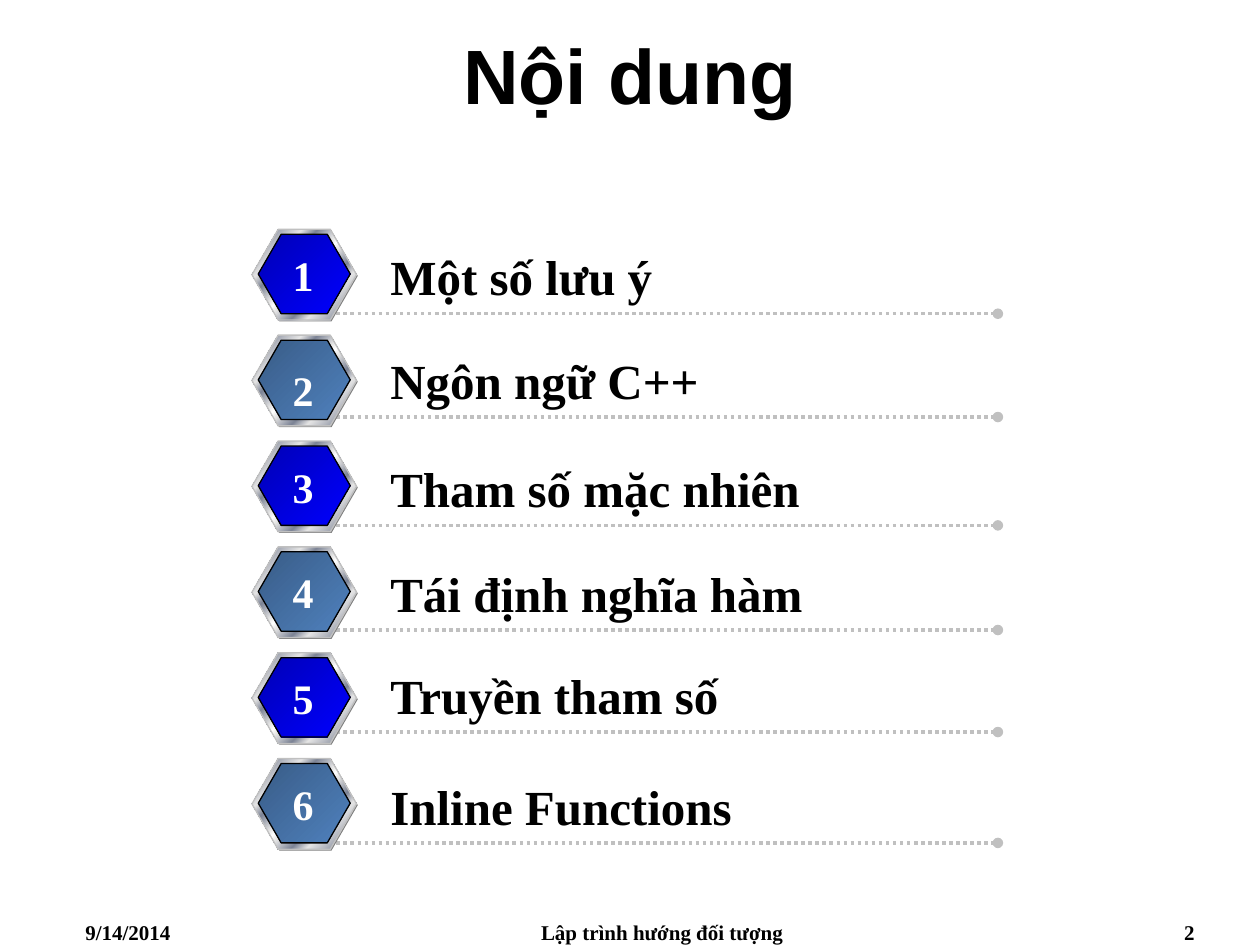
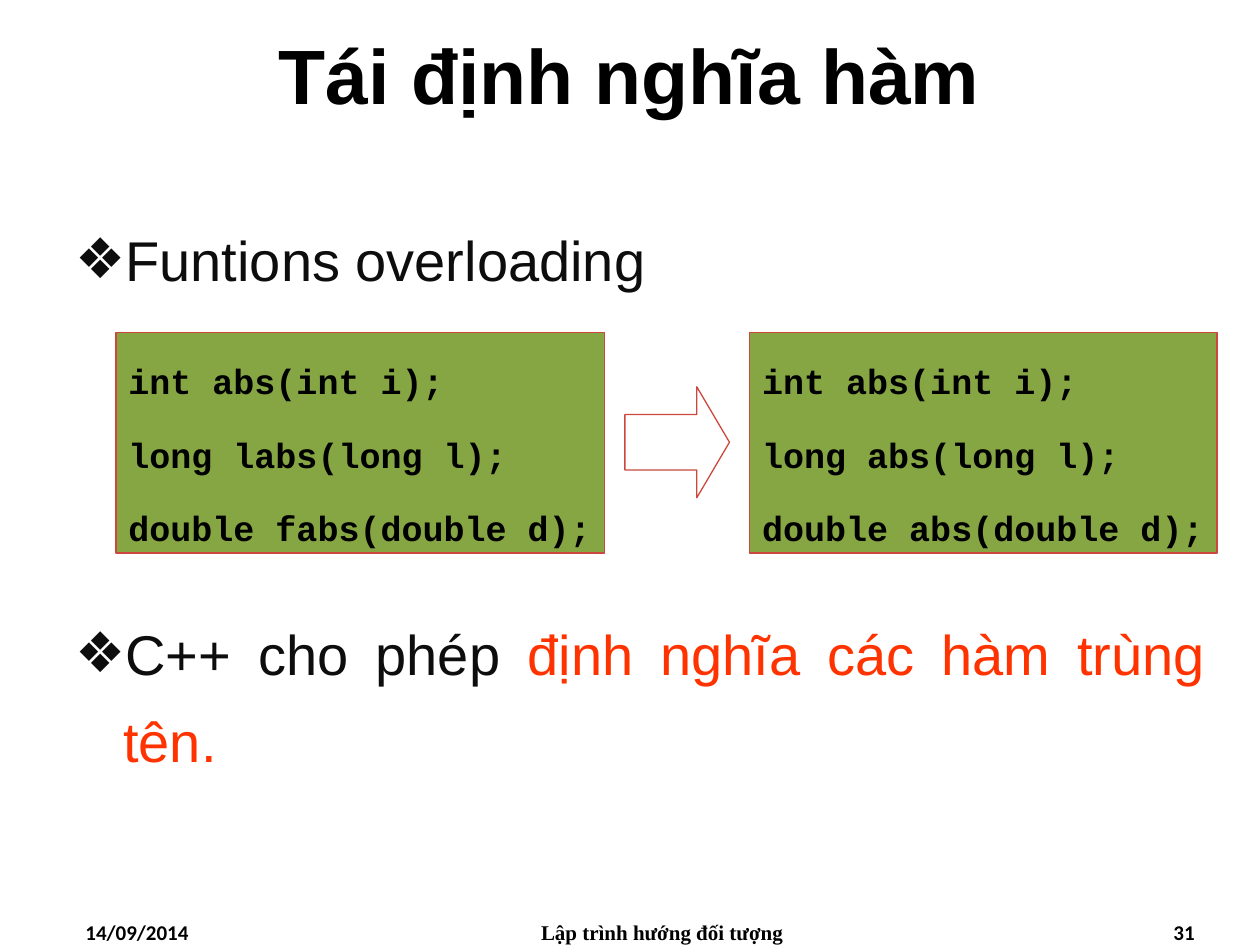
from lxml.etree import SubElement
from pptx import Presentation
from pptx.dml.color import RGBColor
from pptx.enum.dml import MSO_LINE
from pptx.enum.shapes import MSO_CONNECTOR, MSO_SHAPE
from pptx.enum.text import MSO_ANCHOR, MSO_AUTO_SIZE, PP_ALIGN
from pptx.oxml.ns import qn
from pptx.util import Inches, Pt

BLACK = RGBColor(0x00, 0x00, 0x00)
WHITE = RGBColor(0xFF, 0xFF, 0xFF)
INK = RGBColor(0x0D, 0x0D, 0x0D)
ORANGE = RGBColor(0xFF, 0x33, 0x00)
GREEN = RGBColor(0x86, 0xA6, 0x44)
RED = RGBColor(0xCC, 0x48, 0x3E)
GRAY = RGBColor(0x80, 0x80, 0x80)
SILVER = RGBColor(0xC0, 0xC0, 0xC0)
LIGHT = RGBColor(0xE6, 0xE6, 0xE6)
STEEL = RGBColor(0x7D, 0x84, 0x96)

BEZEL = [(0, LIGHT), (7, STEEL), (26, LIGHT), (34, STEEL), (46, LIGHT), (50, WHITE),
         (54, LIGHT), (66, STEEL), (74, LIGHT), (93, STEEL), (100, LIGHT)]
BADGE_FACES = [
    [(0, RGBColor(0x00, 0x00, 0xB6)), (100, RGBColor(0x00, 0x00, 0xFF))],
    [(0, RGBColor(0x39, 0x5C, 0x87)), (100, RGBColor(0x4F, 0x81, 0xBD))],
]

TITLE_FONT = "Arial"
TEXT_FONT = "Times New Roman"
CODE_FONT = "Courier New"
FOOTER = "Lập trình hướng đối tượng"
HANGING = Inches(0.38)

# Label, height of the dotted rule, offset of the number below its badge top
TOPICS = [
    ("Một số lưu ý", 2.49, 0.11),
    ("Ngôn ngữ C++", 3.31, 0.18),
    ("Tham số mặc nhiên", 4.17, 0.11),
    ("Tái định nghĩa hàm", 5.00, 0.11),
    ("Truyền tham số", 5.81, 0.11),
    ("Inline Functions", 6.69, 0.11),
]
FIRST_BADGE_TOP = 1.82
BADGE_PITCH = 0.84


def format_runs(paragraph, size, font, color, bold=False):
    for run in paragraph.runs:
        run.font.size = Pt(size)
        run.font.name = font
        run.font.bold = bold
        run.font.color.rgb = color


def hang(paragraph, bullet=None):
    """Give the paragraph a hanging indent and, if wanted, a bullet."""
    properties = paragraph._p.get_or_add_pPr()
    properties.set("marL", str(HANGING))
    properties.set("indent", str(-HANGING))
    if bullet:
        SubElement(properties, qn("a:buFont"), typeface=TITLE_FONT)
        SubElement(properties, qn("a:buChar"), char=bullet)


def fill_gradient(shape, stops):
    shape.fill.gradient()
    shape.fill.gradient_angle = 315
    stop_list = shape._element.spPr.find(qn("a:gradFill")).find(qn("a:gsLst"))
    for stop in list(stop_list):
        stop_list.remove(stop)
    for percent, color in stops:
        stop = SubElement(stop_list, qn("a:gs"), pos=str(percent * 1000))
        SubElement(stop, qn("a:srgbClr"), val=str(color))


class Deck:
    def __init__(self):
        self.presentation = Presentation()
        self.presentation.slide_width = Inches(10)
        self.presentation.slide_height = Inches(7.5)
        self.slide = None

    def add_slide(self, title, date, number, number_font):
        self.slide = self.presentation.slides.add_slide(self.presentation.slide_layouts[5])
        shape = self.slide.shapes.title
        shape.left, shape.top = Inches(0), Inches(0)
        shape.width, shape.height = Inches(10), Inches(1.17)
        frame = shape.text_frame
        frame.text = title
        frame.auto_size = MSO_AUTO_SIZE.NONE
        frame.vertical_anchor = MSO_ANCHOR.MIDDLE
        frame.paragraphs[0].alignment = PP_ALIGN.CENTER
        format_runs(frame.paragraphs[0], 44, TITLE_FONT, BLACK, True)
        for text, left, width, alignment, font in (
            (date, 0.58, 2.33, PP_ALIGN.LEFT, number_font),
            (FOOTER, 3.67, 3.17, PP_ALIGN.CENTER, TEXT_FONT),
            (number, 7.25, 2.33, PP_ALIGN.RIGHT, number_font),
        ):
            self.text(text, left, 7.25, width, 0.25, 12, alignment=alignment, font=font)

    def text(self, text, left, top, width, height, size, color=BLACK,
             alignment=PP_ALIGN.LEFT, font=TEXT_FONT, wrap=True):
        box = self.slide.shapes.add_textbox(
            Inches(left), Inches(top), Inches(width), Inches(height))
        frame = box.text_frame
        frame.word_wrap = wrap
        frame.text = text
        frame.paragraphs[0].alignment = alignment
        format_runs(frame.paragraphs[0], size, font, color, True)

    def shape(self, kind, left, top, width, height, line=None, adjustments=()):
        """Add an unfilled preset shape."""
        shape = self.slide.shapes.add_shape(
            kind, Inches(left), Inches(top), Inches(width), Inches(height))
        shape.shadow.inherit = False
        for index, value in enumerate(adjustments):
            shape.adjustments[index] = value
        shape.fill.background()
        if line is None:
            shape.line.fill.background()
        else:
            shape.line.color.rgb = line
            shape.line.width = Pt(0.75)
        return shape

    def badge(self, top, face):
        """Add a hexagon face on a metallic bezel with a gray edge."""
        def hexagon(left, offset, width, height, line=None):
            return self.shape(MSO_SHAPE.HEXAGON, left, top + offset, width, height,
                              line, (0.289, 1.155))

        edge = hexagon(2.01, 0.01, 0.83, 0.72)
        edge.fill.solid()
        edge.fill.fore_color.rgb = GRAY
        fill_gradient(hexagon(2, 0, 0.83, 0.72, SILVER), BEZEL)
        fill_gradient(hexagon(2.05, 0.04, 0.73, 0.63, BLACK), face)

    def dotted_rule(self, left, right, y):
        connector = self.slide.shapes.add_connector(
            MSO_CONNECTOR.STRAIGHT, Inches(left), Inches(y), Inches(right), Inches(y))
        connector.line.color.rgb = SILVER
        connector.line.width = Pt(2)
        connector.line.dash_style = MSO_LINE.ROUND_DOT
        SubElement(connector.line._get_or_add_ln(), qn("a:tailEnd"), type="oval")
        SubElement(connector._element.spPr, qn("a:effectLst"))

    def bullets(self, items, left, top, width, height):
        """Add bullets from (space before, [(text, color), ...]) items."""
        box = self.slide.shapes.add_textbox(
            Inches(left), Inches(top), Inches(width), Inches(height))
        frame = box.text_frame
        frame.word_wrap = True
        for index, (space_before, parts) in enumerate(items):
            paragraph = frame.add_paragraph() if index else frame.paragraphs[0]
            paragraph.alignment = PP_ALIGN.JUSTIFY
            paragraph.line_spacing = 1.3
            paragraph.space_before = Pt(space_before)
            paragraph.space_after = Pt(3)
            hang(paragraph, "❖")
            for text, color in parts:
                paragraph.add_run().text = text
            format_runs(paragraph, 32, TITLE_FONT, INK)
            for run, (text, color) in zip(paragraph.runs, parts):
                run.font.color.rgb = color

    def code(self, lines, left, top, width, height):
        panel = self.shape(MSO_SHAPE.RECTANGLE, left, top, width, height, RED)
        panel.fill.solid()
        panel.fill.fore_color.rgb = GREEN
        frame = panel.text_frame
        frame.word_wrap = True
        frame.vertical_anchor = MSO_ANCHOR.TOP
        frame.text = "\n".join(lines)
        for paragraph in frame.paragraphs:
            paragraph.alignment = PP_ALIGN.LEFT
            paragraph.line_spacing = 1.5
            paragraph.space_before = Pt(6)
            hang(paragraph)
            format_runs(paragraph, 20, CODE_FONT, BLACK, True)


def add_contents(deck):
    deck.add_slide("Nội dung", "9/14/2014", "2", TEXT_FONT)
    for index, (label, rule_y, number_offset) in enumerate(TOPICS):
        top = FIRST_BADGE_TOP + index * BADGE_PITCH
        deck.dotted_rule(2.67, 7.92, rule_y)
        deck.badge(top, BADGE_FACES[index % 2])
        deck.text(label, 3, rule_y - 0.58, 4.92, 0.57, 28)
        deck.text(str(index + 1), 2.22, top + number_offset, 0.37, 0.5, 24,
                  WHITE, PP_ALIGN.CENTER, wrap=False)


def add_overloading(deck):
    deck.add_slide("Tái định nghĩa hàm", "14/09/2014", "31", "Calibri")
    deck.bullets([
        (3, [("Funtions overloading", INK)]),
        (172, [("C++ cho phép ", INK), ("định nghĩa các hàm trùng tên.", ORANGE)]),
    ], 0.5, 1.58, 9.17, 5.39)
    deck.code(["int abs(int i);", "long labs(long l);", "double fabs(double d);"],
              0.92, 2.64, 3.88, 1.75)
    deck.code(["int abs(int i);", "long abs(long l);", "double abs(double d);"],
              5.95, 2.64, 3.71, 1.75)
    deck.shape(MSO_SHAPE.RIGHT_ARROW, 4.96, 3.07, 0.83, 0.88, RED, (0.5, 0.312))


def main():
    deck = Deck()
    add_contents(deck)
    add_overloading(deck)
    deck.presentation.save("out.pptx")


if __name__ == "__main__":
    main()
